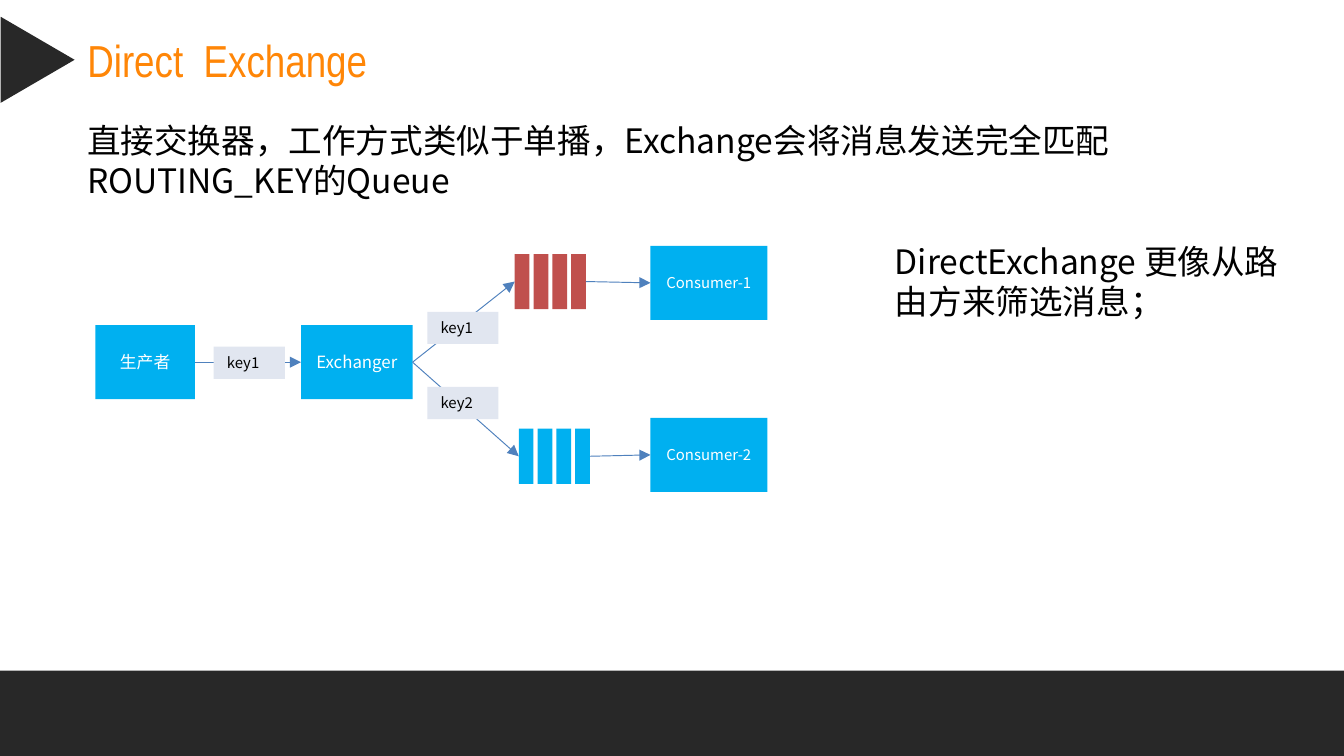
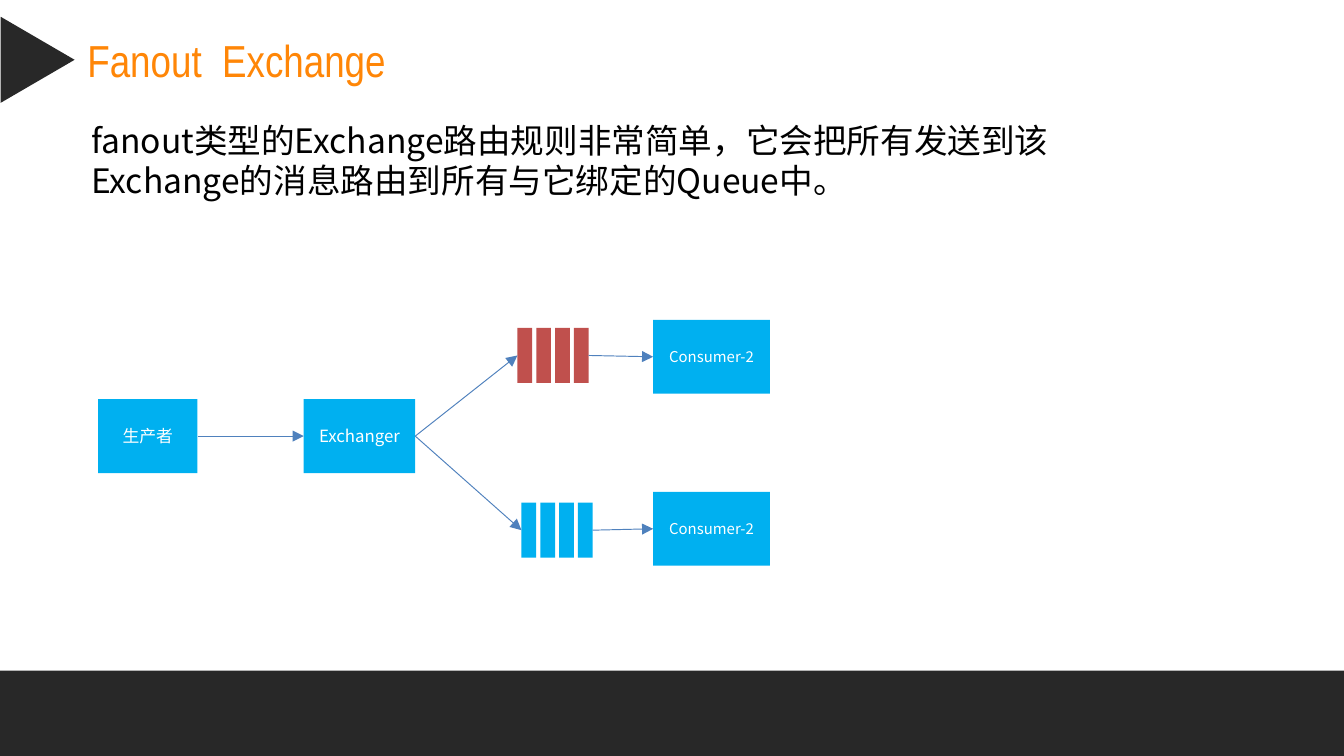
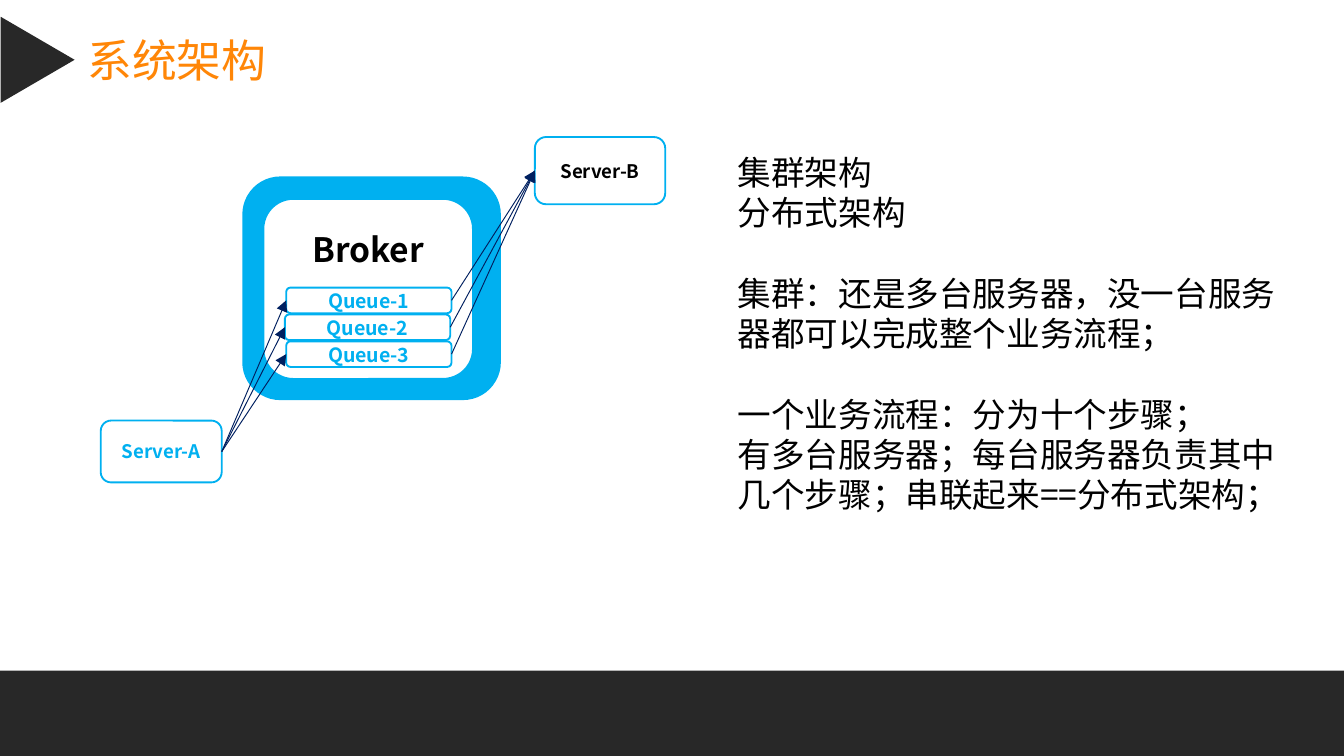
import dataclasses

import pptx
import pptx.dml.color
import pptx.enum.shapes
import pptx.enum.text
import pptx.oxml.ns
import pptx.util
from lxml import etree

Inches = pptx.util.Inches
Pt = pptx.util.Pt
SHAPE = pptx.enum.shapes.MSO_SHAPE
ANCHOR = pptx.enum.text.MSO_ANCHOR
ALIGN = pptx.enum.text.PP_ALIGN
LEFT, RIGHT = 1, 3


@dataclasses.dataclass(frozen=True)
class Theme:
    dark: str = "282828"
    orange: str = "FF8607"
    blue: str = "00B0F0"
    red: str = "C0504D"
    label: str = "E1E6F0"
    arrow: str = "4F81BD"
    navy: str = "002060"
    black: str = "000000"
    white: str = "FFFFFF"
    title_font: str = "Arial Narrow"
    body_font: str = "Noto Sans CJK SC"
    title_size: float = 24
    body_size: float = 18
    queue_size: float = 10.5
    server_size: float = 10
    node_size: float = 9
    small_size: float = 8
    leading: float = 1.2


THEME = Theme()

# Content: exchange slides, with each text as (words, left, top, width)
EXCHANGES = [
    {
        "title": "Direct  Exchange",
        "texts": [
            ("DirectExchange 更像从路由方来筛选消息；", 6.56, 1.74, 3.07),
            ("直接交换器，工作方式类似于单播，Exchange会将消息发送完全匹配ROUTING_KEY的Queue", 0.55, 0.84, 9.23),
        ],
        "origin": (0.71, 2.42),
        "consumers": ("Consumer-1", "Consumer-2"),
        "keys": [("key1", 0.88, 0.16), ("key1", 2.47, -0.1), ("key2", 2.47, 0.46)],
    },
    {
        "title": "Fanout  Exchange",
        "texts": [
            ("fanout类型的Exchange路由规则非常简单，它会把所有发送到该Exchange的消息路由到所有与它绑定的Queue中。", 0.58, 0.84, 8.02),
        ],
        "origin": (0.73, 2.97),
        "consumers": ("Consumer-2", "Consumer-2"),
        "keys": [],
    },
]

# Branches from the exchanger: colour, queue offset, consumer top offset
BRANCHES = [(THEME.red, 3.12, -0.53, -0.59), (THEME.blue, 3.15, 0.77, 0.69)]

# Content: architecture slide; each group of lines is set apart by a gap
ARCHITECTURE_TITLE = "系统架构"
QUEUES = [("Queue-1", 2.13), ("Queue-2", 2.12), ("Queue-3", 2.13)]
ARCHITECTURE_NOTES = [
    ["集群架构", "分布式架构"],
    ["集群：还是多台服务器，没一台服务器都可以完成整个业务流程；"],
    ["一个业务流程：分为十个步骤；", "有多台服务器；每台服务器负责其中几个步骤；串联起来==分布式架构；"],
]


# Text and shape helpers
def rgb(color):
    return pptx.dml.color.RGBColor.from_string(color)


def place(shape, left, top, width, height):
    shape.left, shape.top = Inches(left), Inches(top)
    shape.width, shape.height = Inches(width), Inches(height)


def write(para, text, size, color, font=THEME.body_font, bold=False, align=ALIGN.LEFT):
    para.text = text
    para.alignment = align
    para.line_spacing = Pt(size * THEME.leading)
    para.font.name = font
    para.font.size = Pt(size)
    para.font.bold = bold
    para.font.color.rgb = rgb(color)
    properties = para._p.get_or_add_pPr().find(pptx.oxml.ns.qn("a:defRPr"))
    east_asian = etree.SubElement(properties, pptx.oxml.ns.qn("a:ea"))
    east_asian.set("typeface", THEME.body_font)


def fit_frame(frame):
    frame.word_wrap = True
    frame.vertical_anchor = ANCHOR.TOP
    frame.auto_size = pptx.enum.text.MSO_AUTO_SIZE.SHAPE_TO_FIT_TEXT


def add_text(page, groups, left, top, width, height):
    box = page.shapes.add_textbox(Inches(left), Inches(top), Inches(width), Inches(height))
    fit_frame(box.text_frame)
    para = box.text_frame.paragraphs[0]
    for group_index, lines in enumerate(groups):
        for line_index, line in enumerate(lines):
            if group_index or line_index:
                para = box.text_frame.add_paragraph()
            write(para, line, THEME.body_size, THEME.black)
            if group_index and not line_index:
                para.space_before = Pt(THEME.body_size * THEME.leading)


def add_block(shapes, kind, left, top, width, height, fill=None, line=None):
    block = shapes.add_shape(kind, Inches(left), Inches(top), Inches(width), Inches(height))
    block.shadow.inherit = False
    if fill:
        block.fill.solid()
        block.fill.fore_color.rgb = rgb(fill)
    else:
        block.fill.background()
    if line:
        block.line.color.rgb = rgb(line)
        block.line.width = Pt(1)
    else:
        block.line.fill.background()
    return block


def caption(block, text, size, color, bold=False):
    frame = block.text_frame
    frame.word_wrap = True
    frame.vertical_anchor = ANCHOR.MIDDLE
    frame.margin_left = frame.margin_right = frame.margin_top = frame.margin_bottom = 0
    write(frame.paragraphs[0], text, size, color, bold=bold, align=ALIGN.CENTER)


def add_arrow(page, start, end, color):
    arrow = page.shapes.add_connector(pptx.enum.shapes.MSO_CONNECTOR.STRAIGHT, 0, 0, 0, 0)
    arrow.begin_connect(start, RIGHT)
    arrow.end_connect(end, LEFT)
    arrow.line.color.rgb = rgb(color)
    arrow.line.width = Pt(0.5)
    tail = etree.SubElement(arrow.line._get_or_add_ln(), pptx.oxml.ns.qn("a:tailEnd"))
    tail.set("type", "triangle")
    etree.SubElement(arrow._element.spPr, pptx.oxml.ns.qn("a:effectLst"))


# Shared page frame: footer band, title, side marker
def add_page(deck, title, title_width=2.56):
    page = deck.slides.add_slide(deck.slide_layouts[5])
    add_block(page.shapes, SHAPE.RECTANGLE, 0, 4.99, 10, 0.64, THEME.dark)
    heading = page.shapes.title
    place(heading, 0.55, 0.19, title_width, 0.5)
    fit_frame(heading.text_frame)
    write(heading.text_frame.paragraphs[0], title, THEME.title_size, THEME.orange, THEME.title_font)
    marker = add_block(page.shapes, SHAPE.ISOSCELES_TRIANGLE, -0.04, 0.17, 0.64, 0.55, THEME.dark)
    marker.rotation = 90
    return page


# Exchange diagram
def add_node(page, text, left, top, width, size):
    node = add_block(page.shapes, SHAPE.RECTANGLE, left, top, width, 0.55, THEME.blue)
    caption(node, text, size, THEME.white)
    return node


def add_queue(page, left, top, color):
    return [
        add_block(page.shapes, SHAPE.RECTANGLE, left + index * 0.14, top, 0.11, 0.41, color)
        for index in range(4)
    ]


def add_key(page, text, left, top):
    key = add_block(page.shapes, SHAPE.RECTANGLE, left, top, 0.53, 0.24, THEME.label)
    fit_frame(key.text_frame)
    write(key.text_frame.paragraphs[0], text, THEME.small_size, THEME.black)


def add_exchange(deck, content):
    page = add_page(deck, content["title"])
    for text, left, top, width in content["texts"]:
        add_text(page, [[text]], left, top, width, 0.71)

    x, y = content["origin"]
    producer = add_node(page, "生产者", x, y, 0.74, THEME.node_size)
    exchanger = add_node(page, "Exchanger", x + 1.53, y, 0.83, THEME.node_size)
    add_arrow(page, producer, exchanger, THEME.arrow)
    for (color, queue_x, queue_y, consumer_y), name in zip(BRANCHES, content["consumers"]):
        bars = add_queue(page, x + queue_x, y + queue_y, color)
        consumer = add_node(page, name, x + 4.13, y + consumer_y, 0.87, THEME.small_size)
        add_arrow(page, exchanger, bars[0], THEME.arrow)
        add_arrow(page, bars[-1], consumer, THEME.arrow)
    for text, key_x, key_y in content["keys"]:
        add_key(page, text, x + key_x, y + key_y)


# Architecture diagram
def add_server(page, text, left, top, width, height, color):
    server = add_block(page.shapes, SHAPE.ROUNDED_RECTANGLE, left, top, width, height, line=THEME.blue)
    caption(server, text, THEME.server_size, color, bold=True)
    return server


def add_architecture(deck):
    page = add_page(deck, ARCHITECTURE_TITLE, 1.55)
    add_block(page.shapes, SHAPE.ROUNDED_RECTANGLE, 1.81, 1.32, 1.91, 1.65, THEME.blue, THEME.blue)
    sender = add_server(page, "Server-A", 0.75, 3.13, 0.9, 0.46, THEME.blue)
    receiver = add_server(page, "Server-B", 3.98, 1.02, 0.97, 0.5, THEME.black)

    group = page.shapes.add_group_shape()
    broker = add_block(group.shapes, SHAPE.ROUNDED_RECTANGLE, 1.96, 1.48, 1.56, 1.34, THEME.white, THEME.blue)
    caption(broker, "Broker", THEME.body_size, THEME.black, bold=True)
    broker.text_frame.margin_bottom = Inches(0.6)
    queues = []
    for index, (name, left) in enumerate(QUEUES):
        queue = add_block(
            group.shapes, SHAPE.ROUNDED_RECTANGLE, left, 2.14 + index * 0.2, 1.23, 0.19, line=THEME.blue
        )
        caption(queue, name, THEME.queue_size, THEME.blue, bold=True)
        queues.append(queue)
    for queue in queues:
        add_arrow(page, sender, queue, THEME.navy)
        add_arrow(page, queue, receiver, THEME.navy)
    add_text(page, ARCHITECTURE_NOTES, 5.39, 1.08, 4.33, 2.83)


def main():
    deck = pptx.Presentation()
    deck.slide_width = Inches(10)
    deck.slide_height = deck.slide_width * 9 // 16
    for content in EXCHANGES:
        add_exchange(deck, content)
    add_architecture(deck)
    deck.save("out.pptx")


if __name__ == "__main__":
    main()
